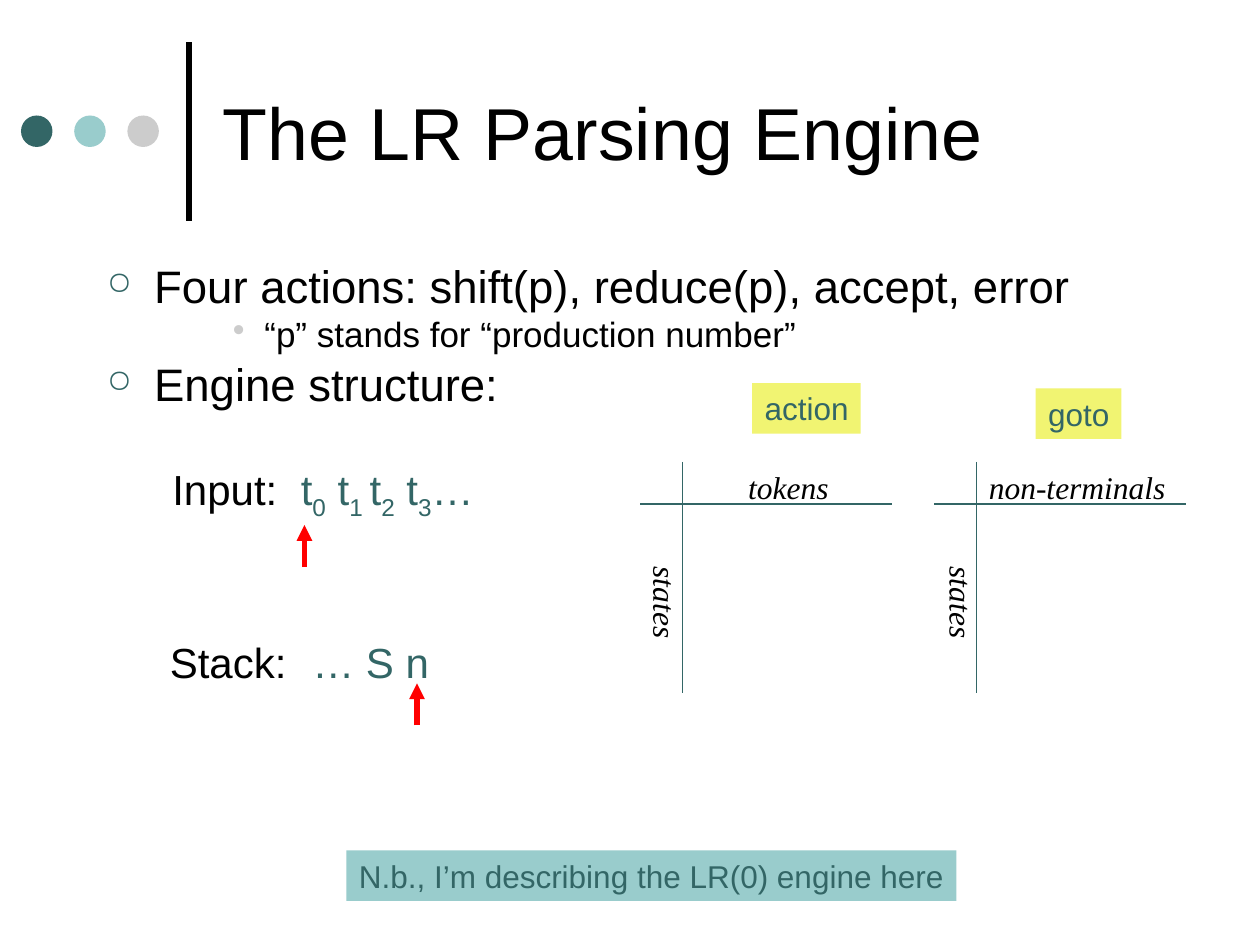
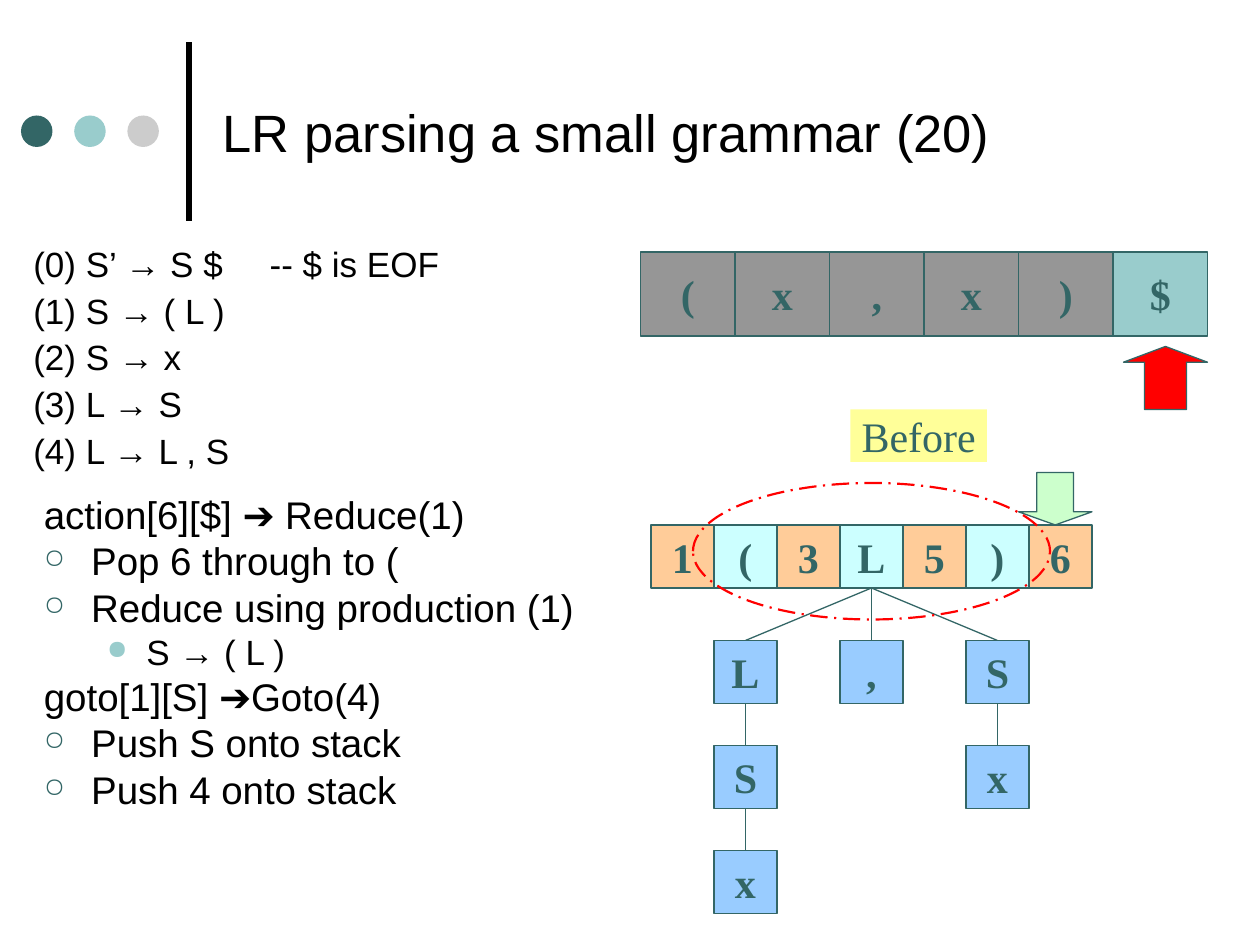
from lxml import etree
from pptx import Presentation
from pptx.dml.color import RGBColor
from pptx.enum.dml import MSO_LINE
from pptx.enum.shapes import MSO_CONNECTOR, MSO_SHAPE
from pptx.enum.text import MSO_ANCHOR, MSO_AUTO_SIZE, PP_ALIGN
from pptx.oxml.ns import qn
from pptx.util import Pt

RECTANGLE, ELLIPSE = MSO_SHAPE.RECTANGLE, MSO_SHAPE.OVAL
UP_ARROW, DOWN_ARROW = MSO_SHAPE.UP_ARROW, MSO_SHAPE.DOWN_ARROW
STRAIGHT = MSO_CONNECTOR.STRAIGHT
LEFT, CENTER = PP_ALIGN.LEFT, PP_ALIGN.CENTER
TOP, MIDDLE = MSO_ANCHOR.TOP, MSO_ANCHOR.MIDDLE
LONG_DASH_DOT = MSO_LINE.LONG_DASH_DOT

SANS, SERIF = "Arial", "Times New Roman"
BLACK = RGBColor(0x00, 0x00, 0x00)
TEAL = RGBColor(0x33, 0x66, 0x66)
AQUA = RGBColor(0x99, 0xCC, 0xCC)
SILVER = RGBColor(0xCC, 0xCC, 0xCC)
GRAY = RGBColor(0x96, 0x96, 0x96)
RED = RGBColor(0xFF, 0x00, 0x00)
LIME = RGBColor(0xF1, 0xF4, 0x72)
YELLOW = RGBColor(0xFF, 0xFF, 0x99)
ORANGE = RGBColor(0xFF, 0xCC, 0x99)
CYAN = RGBColor(0xCC, 0xFF, 0xFF)
BLUE = RGBColor(0x99, 0xCC, 0xFF)
GREEN = RGBColor(0xCC, 0xFF, 0xCC)

# Bullets: character, colour, size in percent of the text
RING = ("○", TEAL, 70)
DISC = ("●", AQUA, 75)
DOT = ("•", SILVER, 100)


def add_run(paragraph, text, size=18, color=BLACK, font=SANS, bold=False,
            italic=False, subscript=False):
    run = paragraph.add_run()
    run.text = text
    run.font.size = Pt(size)
    run.font.name = font
    run.font.bold = bold
    run.font.italic = italic
    run.font.color.rgb = color
    if subscript:
        run._r.get_or_add_rPr().set("baseline", "-25000")


def set_frame(frame, anchor=TOP, wrap=False):
    frame.word_wrap = wrap
    frame.auto_size = MSO_AUTO_SIZE.NONE
    frame.vertical_anchor = anchor


def set_indent(paragraph, left, hanging):
    properties = paragraph._p.get_or_add_pPr()
    properties.set("marL", str(Pt(left)))
    properties.set("indent", str(-Pt(hanging)))


def set_bullet(paragraph, character, color, percent):
    properties = paragraph._p.get_or_add_pPr()
    bullet_color = etree.SubElement(properties, qn("a:buClr"))
    etree.SubElement(bullet_color, qn("a:srgbClr"), val=str(color))
    etree.SubElement(properties, qn("a:buSzPct"), val=str(percent * 1000))
    etree.SubElement(properties, qn("a:buChar"), char=character)


def set_tab(paragraph, position):
    tabs = etree.SubElement(paragraph._p.get_or_add_pPr(), qn("a:tabLst"))
    etree.SubElement(tabs, qn("a:tab"), pos=str(Pt(position)), algn="l")


def add_text_box(slide, left, top, width, height, wrap=False):
    box = slide.shapes.add_textbox(Pt(left), Pt(top), Pt(width), Pt(height))
    set_frame(box.text_frame, wrap=wrap)
    return box


def add_label(slide, text, left, top, width, height=28.8, rotation=0, **text_format):
    box = add_text_box(slide, left, top, width, height)
    box.rotation = rotation
    add_run(box.text_frame.paragraphs[0], text, **text_format)


def add_list(slide, left, top, width, height, items, line_spacing=0.8):
    """Items are (text, size, left indent, hanging, bullet, tab position)."""
    frame = add_text_box(slide, left, top, width, height, wrap=True).text_frame
    for index, (text, size, indent, hanging, bullet, tab) in enumerate(items):
        paragraph = frame.add_paragraph() if index else frame.paragraphs[0]
        set_indent(paragraph, indent, hanging)
        if bullet:
            set_bullet(paragraph, *bullet)
        if tab:
            set_tab(paragraph, tab)
        paragraph.line_spacing = line_spacing
        if index:
            paragraph.space_before = Pt(size / 4)
        add_run(paragraph, text, size=size)


def add_shape(slide, kind, left, top, width, height, fill=None, line=None,
              line_width=0.75, dash=None):
    shape = slide.shapes.add_shape(kind, Pt(left), Pt(top), Pt(width), Pt(height))
    shape.shadow.inherit = False
    if fill is None:
        shape.fill.background()
    else:
        shape.fill.solid()
        shape.fill.fore_color.rgb = fill
    if line is None:
        shape.line.fill.background()
    else:
        shape.line.color.rgb = line
        shape.line.width = Pt(line_width)
        if dash:
            shape.line.dash_style = dash
    return shape


def add_tag(slide, text, left, top, width, height, fill, line=None,
            align=CENTER, anchor=MIDDLE, **text_format):
    """Filled rectangle with one line of teal text."""
    shape = add_shape(slide, RECTANGLE, left, top, width, height, fill, line)
    set_frame(shape.text_frame, anchor)
    paragraph = shape.text_frame.paragraphs[0]
    paragraph.alignment = align
    add_run(paragraph, text, color=TEAL, **text_format)


def add_cell(slide, text, left, top, width, height, fill):
    add_tag(slide, text, left, top, width, height, fill, line=TEAL,
            size=24, font=SERIF, bold=True)


def add_line(slide, x1, y1, x2, y2, color=TEAL, width=0.75, arrow=False):
    line = slide.shapes.add_connector(STRAIGHT, Pt(x1), Pt(y1), Pt(x2), Pt(y2))
    line.line.color.rgb = color
    line.line.width = Pt(width)
    if arrow:
        etree.SubElement(line.line._get_or_add_ln(), qn("a:tailEnd"), type="triangle")
    etree.SubElement(line._element.spPr, qn("a:effectLst"))


def add_block_arrow(slide, kind, left, top, width, height, fill):
    arrow = add_shape(slide, kind, left, top, width, height, fill, TEAL)
    arrow.adjustments[0] = 0.5
    arrow.adjustments[1] = 0.25


def add_titled_slide(presentation, title_text, size):
    slide = presentation.slides.add_slide(presentation.slide_layouts[5])
    add_line(slide, 108, 126, 108, 24, BLACK, 3)
    for index, color in enumerate((TEAL, AQUA, SILVER)):
        add_shape(slide, ELLIPSE, 12 + index * 30.4, 66, 18, 18, color)
    title = slide.shapes.title
    title.left, title.top, title.width, title.height = Pt(120), Pt(15), Pt(552), Pt(120)
    set_frame(title.text_frame, MIDDLE, wrap=True)
    paragraph = title.text_frame.paragraphs[0]
    paragraph.alignment = LEFT
    add_run(paragraph, title_text, size=size)
    return slide


def add_parse_line(slide, heading, pieces, left, top, width, height, tab):
    """Heading, then teal pieces at the tab; each is (text, is subscript)."""
    paragraph = add_text_box(slide, left, top, width, height).text_frame.paragraphs[0]
    set_tab(paragraph, tab)
    add_run(paragraph, heading + "\t", size=24)
    for text, subscript in pieces:
        add_run(paragraph, text, size=24, color=TEAL, subscript=subscript)


def add_parse_table(slide, left, columns_text, columns_left, columns_width, states_left):
    axis = left + 24
    add_line(slide, axis, 264, axis, 396)
    add_line(slide, left, 288, left + 144, 288)
    add_label(slide, "states", states_left, 330, 55.4, rotation=90, font=SERIF, italic=True)
    add_label(slide, columns_text, columns_left, 264, columns_width, font=SERIF, italic=True)


def build_engine_slide(presentation):
    slide = add_titled_slide(presentation, "The LR Parsing Engine", 42)
    add_list(slide, 54, 150, 618, 96, [
        ("Four actions: shift(p), reduce(p), accept, error", 26, 27, 27, RING, None),
        ("“p” stands for “production number”", 20, 90, 18, DOT, None),
        ("Engine structure:", 26, 27, 27, RING, None),
    ])
    tokens = [("t", False), ("0", True), (" t", False), ("1 ", True), ("t", False),
              ("2", True), (" t", False), ("3", True), ("…", False)]
    add_parse_line(slide, "Input:", tokens, 91.4, 261.4, 186.5, 40.3, tab=73.4)
    add_parse_line(slide, "Stack:", [("… S n", False)], 90, 360, 161.3, 36, tab=81.4)
    for x, tip in ((174, 300), (238.3, 390.5)):
        add_line(slide, x, tip + 24, x, tip, RED, 3, arrow=True)

    add_parse_table(slide, 366, "tokens", 420.5, 60.5, states_left=352.8)
    add_parse_table(slide, 534, "non-terminals", 558, 115.2, states_left=522)
    for text, left, top, width, fill in (
        ("action", 429.8, 219, 62, LIME),
        ("goto", 591.8, 222, 49, LIME),
        ("N.b., I’m describing the LR(0) engine here", 198, 486, 348.5, AQUA),
    ):
        add_tag(slide, text, left, top, width, 28.8, fill, align=LEFT, anchor=TOP)


def build_grammar_slide(presentation):
    slide = add_titled_slide(presentation, "LR parsing a small grammar (20)", 30)
    productions = ("(0) S’ → S $\t-- $ is EOF", "(1) S → ( L )", "(2) S → x",
                   "(3) L → S", "(4) L → L , S")
    add_list(slide, 12, 138, 307.5, 138,
             [(text, 20, 27, 27, None, 144) for text in productions], line_spacing=0.9)
    add_list(slide, 18, 282, 336, 210, [
        ("action[6][$] ➔ Reduce(1)", 22, 27, 27, None, None),
        ("Pop 6 through to (", 22, 27, 27, RING, None),
        ("Reduce using production (1)", 22, 27, 27, RING, None),
        ("S → ( L )", 20, 58.5, 22.5, DISC, None),
        ("goto[1][S] ➔Goto(4)", 22, 27, 27, None, None),
        ("Push S onto stack", 22, 27, 27, RING, None),
        ("Push 4 onto stack", 22, 27, 27, RING, None),
    ])

    for index, token in enumerate("(x,x)$"):
        add_cell(slide, token, 366 + index * 54, 144, 54, 48, AQUA if token == "$" else GRAY)
    add_block_arrow(slide, UP_ARROW, 642, 198, 48, 36, RED)
    add_tag(slide, "Before", 486, 234, 78, 30, YELLOW, size=24, font=SERIF)

    cell = 36
    stack_top = 300
    for index, entry in enumerate("1(3L5)6"):
        add_cell(slide, entry, 372 + index * cell, stack_top, cell, cell,
                 CYAN if index % 2 else ORANGE)
    add_block_arrow(slide, DOWN_ARROW, 582, 270, 42, 30, GREEN)

    root_x = 498
    tree_top, tree_step = 366, 60
    for center, branch in ((426, "LSx"), (498, ","), (570, "Sx")):
        add_line(slide, root_x, stack_top + cell, center, tree_top)
        for depth, symbol in enumerate(branch):
            top = tree_top + depth * tree_step
            if depth:
                add_line(slide, center, top - tree_step + cell, center, top)
            add_cell(slide, symbol, center - cell / 2, top, cell, cell, BLUE)
    add_shape(slide, ELLIPSE, 396, 276, 204, 78, line=RED, line_width=1.25,
              dash=LONG_DASH_DOT)


def main():
    presentation = Presentation()
    presentation.slide_width, presentation.slide_height = Pt(720), Pt(540)
    build_engine_slide(presentation)
    build_grammar_slide(presentation)
    presentation.save("out.pptx")


if __name__ == "__main__":
    main()
